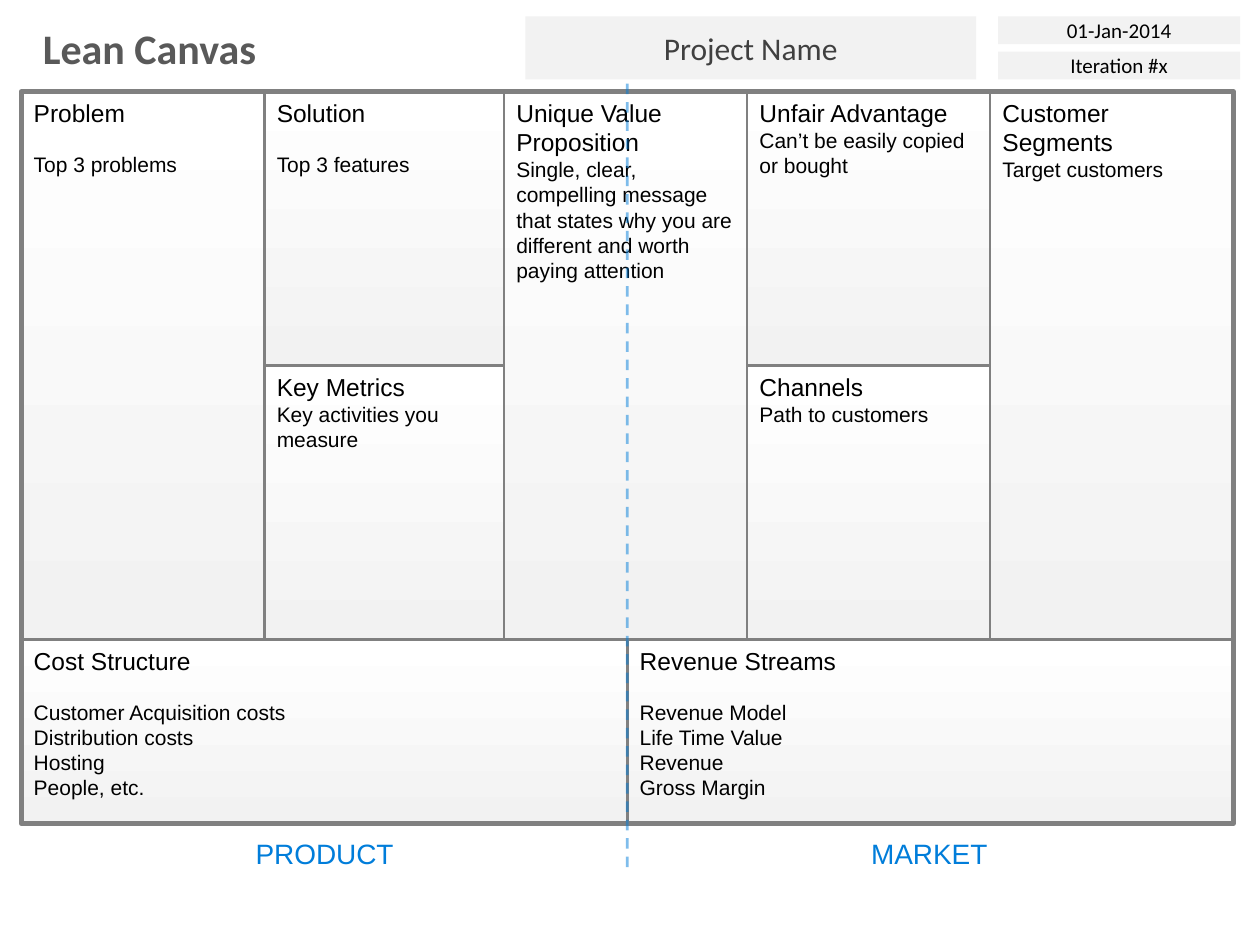
import pptx
import pptx.dml.color
import pptx.enum.dml
import pptx.enum.shapes
import pptx.enum.text
import pptx.oxml
import pptx.oxml.ns
import pptx.util

Cm, Pt = pptx.util.Cm, pptx.util.Pt
ALIGN = pptx.enum.text.PP_ALIGN
ANCHOR = pptx.enum.text.MSO_ANCHOR
SHAPE = pptx.enum.shapes.MSO_SHAPE

TITLE = "Lean Canvas"
HEADERS = [
    ("Project Name", 18, "404040", (10.59, 0.33, 9.09, 1.27)),
    ("01-Jan-2014", 12, "000000", (20.12, 0.33, 4.88, 0.56)),
    ("Iteration #x", 12, "000000", (20.12, 1.04, 4.88, 0.56)),
]
LEFT, TOP, WIDTH = 0.43, 1.85, 24.43
COLUMN, HALF_ROW, COSTS_HEIGHT = 4.9, 5.52, 3.71
COLUMN_LEFTS = [0.43, 5.33, 10.16, 15.06, 19.96]
MIDDLE = LEFT + WIDTH / 2
GAP = 13.8

FINANCES = [
    ("Cost Structure", GAP,
     ["Customer Acquisition costs", "Distribution costs", "Hosting", "People, etc."]),
    ("Revenue Streams", GAP,
     ["Revenue Model", "Life Time Value", "Revenue", "Gross Margin"]),
]
COLUMNS = [
    [("Problem", GAP, ["Top 3 problems"])],
    [("Solution", GAP, ["Top 3 features"]),
     ("Key Metrics", 0, ["Key activities you measure"])],
    [("Unique Value Proposition", 0,
      ["Single, clear, compelling message that states why you are different "
       "and worth paying attention"])],
    [("Unfair Advantage", 0, ["Can’t be easily copied or bought"]),
     ("Channels", 0, ["Path to customers"])],
    [("Customer Segments", 0, ["Target customers"])],
]
SIDES = [("PRODUCT", 4.88, 3.33), ("MARKET", 17.3, 2.87)]


def rgb(value):
    return pptx.dml.color.RGBColor.from_string(value)


def apply(target, values):
    for key, value in values.items():
        setattr(target, key, value)


def write(frame, lines, font, color, align=ALIGN.LEFT, **frame_format):
    apply(frame, frame_format)
    for index, (text, size, bold, before) in enumerate(lines):
        paragraph = frame.paragraphs[0] if index == 0 else frame.add_paragraph()
        apply(paragraph, {"alignment": align, "space_before": Pt(before)})
        run = paragraph.add_run()
        run.text = text
        apply(run.font, {"name": font, "size": Pt(size), "bold": bold})
        run.font.color.rgb = rgb(color)


def add_box(slide, kind, box):
    shape = slide.shapes.add_shape(kind, *map(Cm, box))
    shape.shadow.inherit = False
    return shape


def add_outlined(slide, box, weight):
    shape = add_box(slide, SHAPE.ROUNDED_RECTANGLE, box)
    shape.adjustments[0] = 0
    shape.line.color.rgb = rgb("808080")
    shape.line.width = Pt(weight)
    return shape


def add_cell(slide, box, content):
    heading, gap, details = content
    cell = add_outlined(slide, box, 1.5)
    cell.fill.gradient()
    cell.fill.gradient_angle = 90
    for stop, color, position in zip(cell.fill.gradient_stops, ["F2F2F2", "FFFFFF"], [0, 1]):
        stop.color.rgb = rgb(color)
        stop.position = position
    lines = [(heading, 14, False, 0)]
    lines += [(detail, 12, False, 0 if index else gap) for index, detail in enumerate(details)]
    write(cell.text_frame, lines, "Arial", "000000", vertical_anchor=ANCHOR.TOP)


def add_divider(slide):
    divider = slide.shapes.add_connector(
        pptx.enum.shapes.MSO_CONNECTOR.STRAIGHT, Cm(MIDDLE), Cm(17.48), Cm(MIDDLE), Cm(1.55))
    divider.line.color.rgb = rgb("007DDA")
    apply(divider.line, {"width": Pt(1.5), "dash_style": pptx.enum.dml.MSO_LINE.DASH})
    properties = divider._element.spPr
    color = properties.find(".//" + pptx.oxml.ns.qn("a:srgbClr"))
    alpha = pptx.oxml.parse_xml(f'<a:alpha {pptx.oxml.ns.nsdecls("a")} val="50000"/>')
    color.append(alpha)
    properties.append(pptx.oxml.parse_xml(f'<a:effectLst {pptx.oxml.ns.nsdecls("a")}/>'))


def main():
    deck = pptx.Presentation()
    apply(deck, {"slide_width": Cm(25.4), "slide_height": Cm(19.05)})
    slide = deck.slides.add_slide(deck.slide_layouts[5])

    title = slide.shapes.title
    apply(title, {"left": Cm(0.61), "top": Cm(0.33), "width": Cm(4.88), "height": Cm(1.27)})
    write(title.text_frame, [(TITLE, 24, True, 0)], "Calibri", "595959",
          vertical_anchor=ANCHOR.TOP, word_wrap=False,
          auto_size=pptx.enum.text.MSO_AUTO_SIZE.NONE)

    for text, size, color, box in HEADERS:
        header = add_box(slide, SHAPE.RECTANGLE, box)
        header.fill.solid()
        header.fill.fore_color.rgb = rgb("F2F2F2")
        header.line.fill.background()
        write(header.text_frame, [(text, size, False, 0)], "Calibri", color, ALIGN.CENTER,
              vertical_anchor=ANCHOR.MIDDLE)

    costs_top = TOP + 2 * HALF_ROW
    for index, content in enumerate(FINANCES):
        add_cell(slide, (LEFT + index * WIDTH / 2, costs_top, WIDTH / 2, COSTS_HEIGHT), content)

    for left, cells in zip(COLUMN_LEFTS, COLUMNS):
        height = 2 * HALF_ROW / len(cells)
        for row, content in enumerate(cells):
            add_cell(slide, (left, TOP + row * height, COLUMN, height), content)

    frame = add_outlined(slide, (LEFT, TOP, WIDTH, 2 * HALF_ROW + COSTS_HEIGHT), 3)
    frame.fill.background()

    for text, left, width in SIDES:
        side = slide.shapes.add_textbox(Cm(left), Cm(16.74), Cm(width), Cm(0.94))
        write(side.text_frame, [(text, 16, False, 0)], "Arial", "007DDA", ALIGN.CENTER,
              word_wrap=False)

    add_divider(slide)
    deck.save("out.pptx")


if __name__ == "__main__":
    main()
